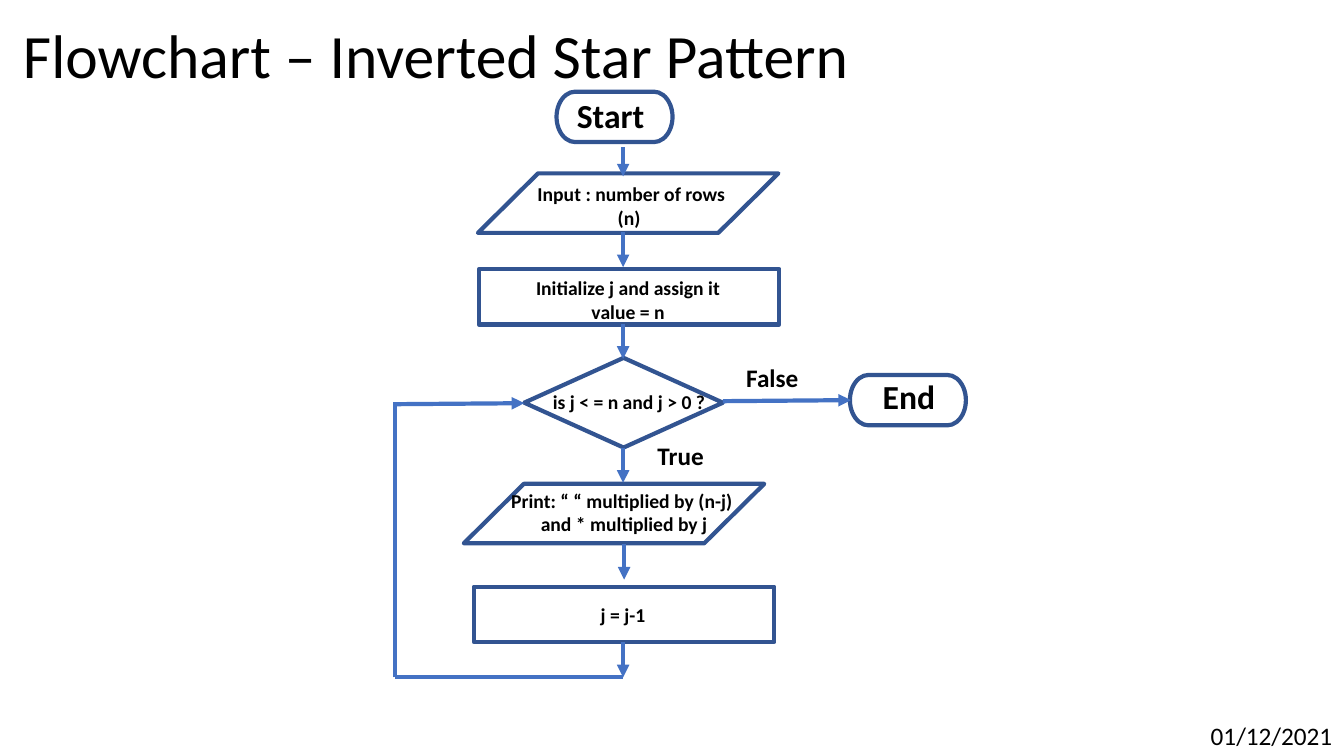
from pptx import Presentation, util as u
from pptx.dml.color import RGBColor
from pptx.enum import shapes, text
from pptx.oxml.ns import qn
from lxml import etree

INK = {"edge": "325491", "flow": "4472C4", "text": "000000"}
FONT = "Calibri"
WIDE, HIGH = 13.33, 7.5
KIND = shapes.MSO_SHAPE
MID, LEFT = text.PP_ALIGN.CENTER, text.PP_ALIGN.LEFT

# Axes of the chart: main column, loop column, length of a step arrow
MAIN, LOOP, STEP = 6.18, 3.92, 0.35
BASE = 6.72

# Size of each kind of node
SIZE = {
    "end": (KIND.FLOWCHART_TERMINATOR, 1.15, 0.5),
    "data": (KIND.FLOWCHART_DATA, 2.98, 0.59),
    "step": (KIND.FLOWCHART_PROCESS, 2.98, 0.55),
    "test": (KIND.FLOWCHART_DECISION, 1.97, 0.89),
}

# Nodes: kind, left, top
NODES = [
    ("end", 5.52, 0.91),
    ("data", 4.74, 1.72),
    ("step", 4.75, 2.67),
    ("test", 5.2, 3.55),
    ("data", 4.6, 4.8),
    ("step", 4.7, 5.82),
    ("end", 8.43, 3.72),
]

# Words: lines, left, top, width, height, points
WORDS = [
    (["Start"], 5.61, 0.89, 0.89, 0.5, 24),
    ([" Input : number of rows", "(n)"], 5.14, 1.76, 2.2, 0.57, 14),
    (["Initialize j and assign it value = n"], 5.18, 2.69, 2.1, 0.57, 14),
    (["is j < = n and j > 0 ?"], 5.31, 3.82, 1.86, 0.34, 14),
    (["Print: “ “ multiplied by (n-j) ", "and * multiplied by j"],
     4.6, 4.8, 3.18, 0.57, 14),
    (["j = j-1"], 5.13, 5.93, 2.1, 0.34, 14),
    (["End"], 8.57, 3.68, 0.89, 0.5, 24),
    (["True"], 5.79, 4.32, 1.92, 0.4, 18),
    (["False"], 6.7, 3.55, 1.92, 0.4, 18),
]

# Arrows down the main column (x, top), then the other lines (from, to, head)
DROPS = [(MAIN, 2.3), (MAIN, 3.21), (MAIN, 4.44), (MAIN + 0.01, 5.4),
         (MAIN, BASE - STEP)]
LINES = [((MAIN, 1.46), (MAIN, 1.75), True)]
LINES += [((x, y), (x, y + STEP), True) for x, y in DROPS]
LINES += [
    ((LOOP, BASE), (MAIN, BASE), False),
    ((LOOP, BASE), (LOOP, 3.99), False),
    ((LOOP, 4.01), (5.2, 4), True),
    ((7.17, 3.98), (8.44, 3.97), True),
]


def tint(name):
    return RGBColor.from_string(INK[name])


def write(slide, lines, x, y, w, h, size, bold=True, align=MID, wrap=True):
    box = slide.shapes.add_textbox(*map(u.Inches, (x, y, w, h)))
    frame = box.text_frame
    frame.word_wrap = wrap
    for i, line in enumerate(lines):
        para = frame.add_paragraph() if i else frame.paragraphs[0]
        para.alignment = align
        run = para.add_run()
        run.text = line
        run.font.name, run.font.size = FONT, u.Pt(size)
        run.font.bold = bold
        run.font.color.rgb = tint("text")
    return frame


def node(slide, kind, x, y):
    form, w, h = SIZE[kind]
    shape = slide.shapes.add_shape(form, *map(u.Inches, (x, y, w, h)))
    shape.shadow.inherit = False
    shape.fill.background()
    shape.line.color.rgb = tint("edge")
    shape.line.width = u.Pt(3)


def link(slide, start, stop, head):
    line = slide.shapes.add_connector(
        shapes.MSO_CONNECTOR.STRAIGHT, *map(u.Inches, start + stop))
    line.line.color.rgb = tint("flow")
    line.line.width = u.Pt(3)
    if head:
        tail = etree.SubElement(line.line._get_or_add_ln(), qn("a:tailEnd"))
        tail.set("type", "triangle")
    etree.SubElement(line._element.spPr, qn("a:effectLst"))


def main():
    deck = Presentation()
    deck.slide_width, deck.slide_height = u.Inches(WIDE), u.Inches(HIGH)
    slide = deck.slides.add_slide(deck.slide_layouts[6])

    # Title and date
    head = write(slide, ["Flowchart – Inverted Star Pattern"],
                 0.13, -0.14, 11.5, 1.45, 44, False, LEFT)
    head.vertical_anchor = text.MSO_ANCHOR.MIDDLE
    head.paragraphs[0].line_spacing = 0.9
    write(slide, ["01/12/2021"], WIDE - 1.42, HIGH - 0.4, 1.42, 0.4,
          18, False, LEFT, False)

    # Flowchart
    for item in NODES:
        node(slide, *item)
    for item in LINES:
        link(slide, *item)
    for item in WORDS:
        write(slide, *item)

    deck.save("out.pptx")


if __name__ == "__main__":
    main()
